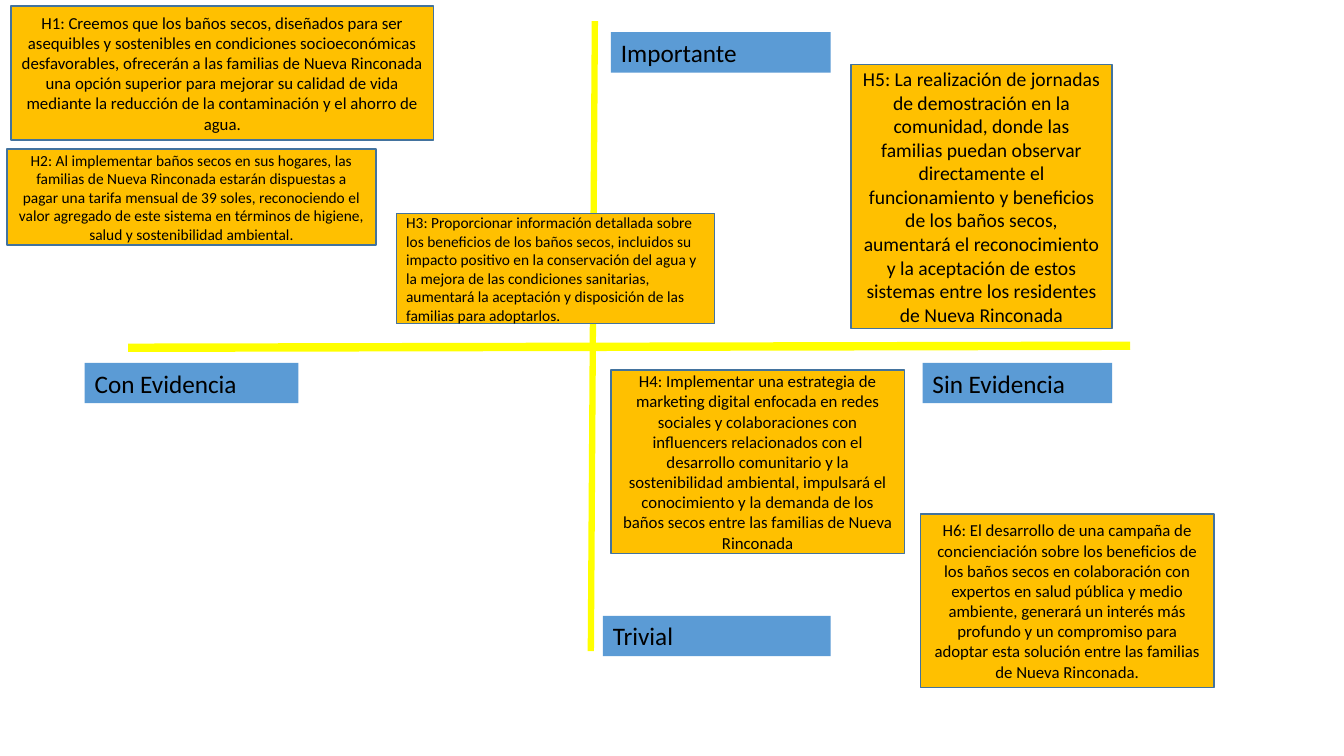
from lxml import etree
from pptx import Presentation
from pptx.dml.color import RGBColor
from pptx.enum.shapes import MSO_CONNECTOR, MSO_SHAPE
from pptx.enum.text import MSO_ANCHOR, PP_ALIGN
from pptx.oxml.ns import qn
from pptx.util import Inches, Pt

STRAIGHT = MSO_CONNECTOR.STRAIGHT
RECTANGLE = MSO_SHAPE.RECTANGLE
TOP, MIDDLE = MSO_ANCHOR.TOP, MSO_ANCHOR.MIDDLE
LEFT, CENTER = PP_ALIGN.LEFT, PP_ALIGN.CENTER

YELLOW = RGBColor(0xFF, 0xFF, 0x00)
BLUE = RGBColor(0x5B, 0x9B, 0xD5)
AMBER = RGBColor(0xFF, 0xC0, 0x00)
OUTLINE = RGBColor(0x43, 0x73, 0x9E)
BLACK = RGBColor(0x00, 0x00, 0x00)
FONT = "Calibri"
LABEL_HEIGHT = 0.4
LABEL_SIZE = 18

# Axes: start x, start y, end x, end y, line width
AXES = [
    (1.27, 3.45, 11.21, 3.43, 6),
    (5.9, 0.21, 5.86, 6.46, 4.5),
]

# Axis labels: text, left, top, width
LABELS = [
    ("Con Evidencia", 0.84, 3.6, 2.12),
    ("Sin Evidencia", 9.15, 3.6, 1.88),
    ("Importante", 6.06, 0.32, 2.18),
    ("Trivial", 5.98, 6.11, 2.26),
]

# Hypotheses: text, (left, top, width, height), font size, alignment
HYPOTHESES = [
    ("H1: Creemos que los baños secos, diseñados para ser asequibles y sostenibles "
     "en condiciones socioeconómicas desfavorables, ofrecerán a las familias de Nueva "
     "Rinconada una opción superior para mejorar su calidad de vida mediante la "
     "reducción de la contaminación y el ahorro de agua.",
     (0.11, 0.06, 4.19, 1.33), 12, CENTER),
    ("H2: Al implementar baños secos en sus hogares, las familias de Nueva Rinconada "
     "estarán dispuestas a pagar una tarifa mensual de 39 soles, reconociendo el valor "
     "agregado de este sistema en términos de higiene, salud y sostenibilidad ambiental.",
     (0.07, 1.48, 3.66, 0.95), 11, CENTER),
    ("H3: Proporcionar información detallada sobre los beneficios de los baños secos, "
     "incluidos su impacto positivo en la conservación del agua y la mejora de las "
     "condiciones sanitarias, aumentará la aceptación y disposición de las familias "
     "para adoptarlos.",
     (3.93, 2.12, 3.16, 1.09), 11, LEFT),
    ("H4: Implementar una estrategia de marketing digital enfocada en redes sociales y "
     "colaboraciones con influencers relacionados con el desarrollo comunitario y la "
     "sostenibilidad ambiental, impulsará el conocimiento y la demanda de los baños "
     "secos entre las familias de Nueva Rinconada",
     (6.06, 3.67, 2.91, 1.82), 12, CENTER),
    ("H6: El desarrollo de una campaña de concienciación sobre los beneficios de los "
     "baños secos en colaboración con expertos en salud pública y medio ambiente, "
     "generará un interés más profundo y un compromiso para adoptar esta solución "
     "entre las familias de Nueva Rinconada.",
     (9.13, 5.1, 2.91, 1.72), 12, CENTER),
    ("H5: La realización de jornadas de demostración en la comunidad, donde las "
     "familias puedan observar directamente el funcionamiento y beneficios de los "
     "baños secos, aumentará el reconocimiento y la aceptación de estos sistemas "
     "entre los residentes de Nueva Rinconada",
     (8.44, 0.64, 2.59, 2.62), 14, CENTER),
]


def add_axis(page, x1, y1, x2, y2, width):
    axis = page.shapes.add_connector(
        STRAIGHT, Inches(x1), Inches(y1), Inches(x2), Inches(y2))
    axis.line.color.rgb = YELLOW
    axis.line.width = Pt(width)
    etree.SubElement(axis.line._get_or_add_ln().getparent(), qn("a:effectLst"))


def add_box(page, text, area, fill, size, align, anchor):
    box = page.shapes.add_shape(RECTANGLE, *map(Inches, area))
    box.shadow.inherit = False
    box.fill.solid()
    box.fill.fore_color.rgb = fill
    box.line.fill.background()
    frame = box.text_frame
    frame.word_wrap = True
    frame.vertical_anchor = anchor
    para = frame.paragraphs[0]
    para.text = text
    para.alignment = align
    para.font.name = FONT
    para.font.size = Pt(size)
    para.font.color.rgb = BLACK
    return box


def main():
    deck = Presentation()
    deck.slide_width, deck.slide_height = Inches(13.33), Inches(7.5)
    page = deck.slides.add_slide(deck.slide_layouts[6])

    # Axes of the matrix
    for axis in AXES:
        add_axis(page, *axis)

    # Axis labels
    for text, left, top, width in LABELS:
        add_box(page, text, (left, top, width, LABEL_HEIGHT),
                BLUE, LABEL_SIZE, LEFT, TOP)

    # Hypothesis cards
    for text, area, size, align in HYPOTHESES:
        card = add_box(page, text, area, AMBER, size, align, MIDDLE)
        card.line.color.rgb = OUTLINE
        card.line.width = Pt(1)

    deck.save("out.pptx")


if __name__ == "__main__":
    main()
